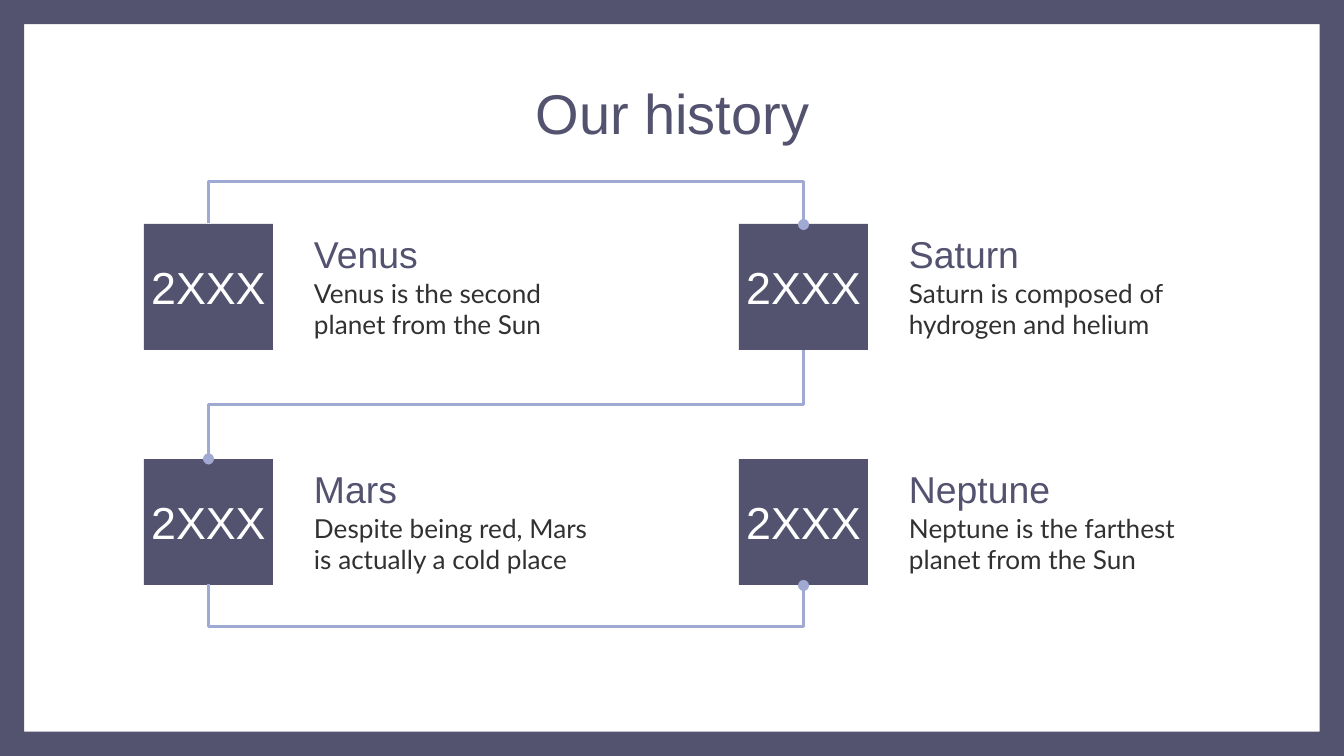
from lxml.etree import SubElement
from pptx import Presentation
from pptx.dml.color import RGBColor
from pptx.enum.shapes import MSO_CONNECTOR as CONN, MSO_SHAPE as SHAPE
from pptx.enum.text import MSO_ANCHOR as ANCHOR, MSO_AUTO_SIZE as FIT, PP_ALIGN as ALIGN
from pptx.oxml.ns import qn
from pptx.util import Emu, Pt

COLORS = {"ink": "53526F", "body": "313133", "line": "A0A9D1", "paper": "FFFFFF"}
WIDTH, HEIGHT = 1344, 756
LEFT, TOP, COL_STEP, ROW_STEP = 144, 224, 595, 235
BOX_W, BOX_H = 129, 126
EVENTS = [
    ("Venus", "Venus is the second planet from the Sun"),
    ("Saturn", "Saturn is composed of hydrogen and helium"),
    ("Mars", "Despite being red, Mars is actually a cold place"),
    ("Neptune", "Neptune is the farthest planet from the Sun"),
]


def px(n):
    """Turn pixels into EMU."""
    return Emu(round(n * 914400 / 134.4))


def color(name):
    """Look up a palette colour."""
    return RGBColor.from_string(COLORS[name])


def write(sp, text, size, ink, font="Arial", align=ALIGN.LEFT, anchor=ANCHOR.TOP, inset=13, wrap=True):
    """Fill a shape with one formatted paragraph."""
    tf = sp.text_frame
    tf.auto_size, tf.word_wrap, tf.vertical_anchor = FIT.NONE, wrap, anchor
    tf.margin_left = tf.margin_right = tf.margin_top = tf.margin_bottom = px(inset)
    p = tf.paragraphs[0]
    p.text, p.alignment = text, align
    p.font.size, p.font.name, p.font.color.rgb = Pt(size), font, color(ink)


def add_solid(s, kind, x, y, w, h):
    """Add a flat dark preset shape."""
    sp = s.shapes.add_shape(kind, px(x), px(y), px(w), px(h))
    sp.shadow.inherit = False
    sp.fill.solid()
    sp.fill.fore_color.rgb = color("ink")
    sp.line.fill.background()
    return sp


def add_title(s, text, x, y, w, h):
    """Place the slide title."""
    sp = s.shapes.title
    sp.left, sp.top, sp.width, sp.height = px(x), px(y), px(w), px(h)
    write(sp, text, 30, "ink", align=ALIGN.CENTER)


def add_event(s, x, y, name, text):
    """Draw a year square with its heading and description."""
    square = add_solid(s, SHAPE.RECTANGLE, x, y, BOX_W, BOX_H)
    write(square, "2XXX", 24, "paper", align=ALIGN.CENTER, anchor=ANCHOR.MIDDLE, inset=7, wrap=False)
    heading = s.shapes.add_textbox(px(x + 157), px(y + 2), px(305), px(63))
    write(heading, name, 20, "ink", anchor=ANCHOR.BOTTOM)
    body = s.shapes.add_textbox(px(x + 157), px(y + 40), px(305), px(85))
    write(body, text, 14, "body", font="Lato")


def add_link(s, x1, y1, x2, y2, drop):
    """Join two points by an elbow whose level run lies drop below the first."""
    rise, run = max(y2 - y1, 1), abs(x2 - x1)
    cx, cy = (x1 + x2) / 2, (y1 + y2) / 2
    near, far = cx - rise / 2, cx + rise / 2
    rightward = x2 > x1
    if rightward:
        near, far = far, near
    link = s.shapes.add_connector(CONN.ELBOW, px(near), px(cy - run / 2), px(far), px(cy + run / 2))
    link.line.width = Pt(1.5)
    link.line.color.rgb = color("line")
    props = link._element.spPr
    props.find(qn("a:xfrm")).set("rot", str((270 if rightward else 90) * 60000))
    guides = props.find(qn("a:prstGeom")).find(qn("a:avLst"))
    SubElement(guides, qn("a:gd"), name="adj1", fmla=f"val {round(drop / rise * 100000)}")
    SubElement(props.find(qn("a:ln")), qn("a:tailEnd"), type="oval")
    SubElement(props, qn("a:effectLst"))


def add_timeline(s, x, y):
    """Lay out the events in a two-column grid and link them in order."""
    for i, event in enumerate(EVENTS):
        add_event(s, x + i % 2 * COL_STEP, y + i // 2 * ROW_STEP, *event)
    first, second = x + BOX_W / 2, x + BOX_W / 2 + COL_STEP
    bottom = y + BOX_H
    gap = ROW_STEP - BOX_H
    add_link(s, first, y, second, y, -42 + 7 - 7)
    add_link(s, second, bottom, first, y + ROW_STEP, gap / 2)
    add_link(s, first, bottom + ROW_STEP, second, bottom + ROW_STEP, 42)


def main():
    """Build and save the slide."""
    prs = Presentation()
    prs.slide_width, prs.slide_height = px(WIDTH), px(HEIGHT)
    s = prs.slides.add_slide(prs.slide_layouts[5])
    frame = add_solid(s, SHAPE.FRAME, 0, 0, WIDTH, HEIGHT)
    frame.adjustments[0] = 0.032
    add_title(s, "Our history", 106, 66, 1133, 85)
    add_timeline(s, LEFT, TOP)
    prs.save("out.pptx")


if __name__ == "__main__":
    main()
